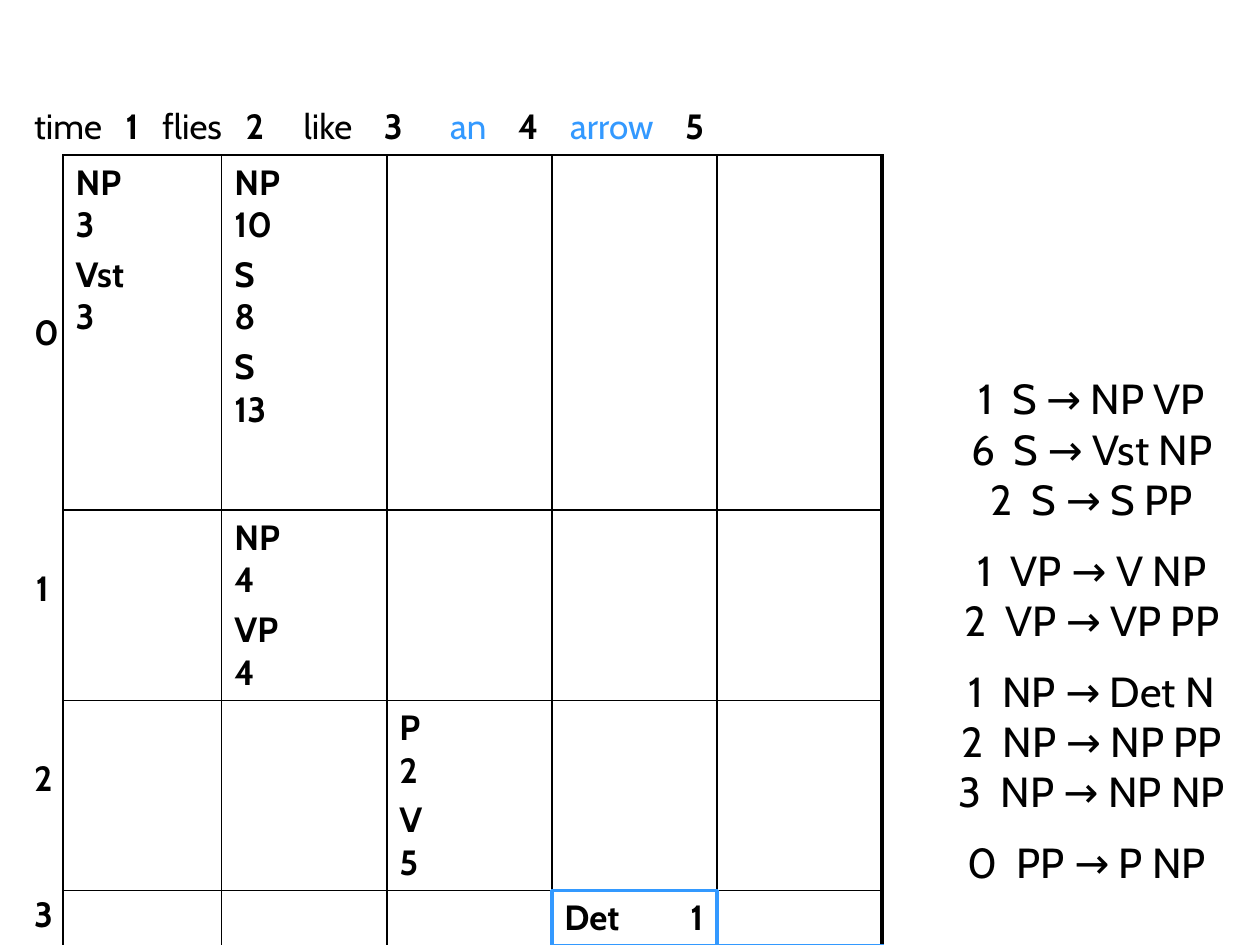
from lxml.etree import SubElement
from pptx import Presentation
from pptx.dml.color import RGBColor
from pptx.enum.text import MSO_ANCHOR, PP_ALIGN
from pptx.oxml.ns import qn
from pptx.util import Inches, Pt

BLACK = RGBColor(0, 0, 0)
BLUE = RGBColor(0x33, 0x99, 0xFF)
NO_GRID_STYLE = "{2D5ABB26-0587-4C30-8999-92F81FD0307C}"

COLS = [0.33, 1.26] + [1.31] * 4
ROWS = [0.43, 2.82, 1.23, 0.83, 0.43, 0.45]
LAST = len(COLS) - 1

HEADER = [("time", False, BLACK), ("   1   ", True, BLACK),
          ("flies", False, BLACK), ("   2     ", True, BLACK),
          ("like", False, BLACK), ("    3      ", True, BLACK),
          ("an", False, BLUE), ("    4    ", True, BLACK),
          ("arrow", False, BLUE), ("    5", True, BLACK)]
ROW_SPACING = [1.0, 2.2, 2.2, 0.9]
WEIGHT_TAB = 1  # wider weights wrap below their label
# (row, column): chart entries
ENTRIES = {(1, 1): ["NP\t3", "Vst\t3"],
           (1, 2): ["NP\t10", "S\t8", "S\t13"],
           (2, 2): ["NP\t4", "VP\t4"],
           (3, 3): ["P\t2", "V\t5"],
           (4, 4): ["Det\t1"]}
HIGHLIGHTED = {(4, 4), (5, 5)}
SIDES = {"L": (0, -1), "R": (0, 1), "T": (-1, 0), "B": (1, 0)}
# Each group of rules starts with a wider line
RULES = [["1  S → NP VP", "6  S → Vst NP", "2  S → S PP"],
         ["1  VP → V NP", "2  VP → VP PP"],
         ["1  NP → Det N", "2  NP → NP PP", "3  NP → NP NP"],
         ["0  PP → P NP "]]


def style(r, size, bold=False, color=BLACK):
    r.font.name = "Cabin"
    r.font.size = Pt(size)
    r.font.bold = bold
    r.font.color.rgb = color


def border(cell, side, color, width):
    ln = SubElement(cell._tc.get_or_add_tcPr(), qn("a:ln" + side), w=str(Pt(width)))
    SubElement(SubElement(ln, qn("a:solidFill")), qn("a:srgbClr"), val=str(color))


prs = Presentation()
prs.slide_width, prs.slide_height = Inches(10), Inches(7.5)
s = prs.slides.add_slide(prs.slide_layouts[6])

# Parse chart grid
table = s.shapes.add_table(len(ROWS), len(COLS), Inches(0.17), Inches(0.79),
                           Inches(sum(COLS)), Inches(sum(ROWS))).table
table.first_row = table.horz_banding = False
table._tbl.tblPr.find(qn("a:tableStyleId")).text = NO_GRID_STYLE
for col, width in zip(table.columns, COLS):
    col.width = Inches(width)
for row, height in zip(table.rows, ROWS):
    row.height = Inches(height)

# Sentence with word positions
table.cell(0, 0).merge(table.cell(0, LAST))
p = table.cell(0, 0).text_frame.paragraphs[0]
p.space_before = Pt(4)
for text, bold, color in HEADER:
    r = p.add_run()
    r.text = text
    style(r, 20, bold, color)

# Start positions down the left side
for i, spacing in enumerate(ROW_SPACING):
    cell = table.cell(i + 1, 0)
    cell.text_frame.text = str(i)
    p = cell.text_frame.paragraphs[0]
    p.alignment = PP_ALIGN.CENTER
    p.line_spacing = spacing
    p.space_before = Pt(4)
    style(p.runs[0], 20, True)
table.cell(1, 0).vertical_anchor = MSO_ANCHOR.MIDDLE

# Constituents and their weights
for (row, col), lines in ENTRIES.items():
    tf = table.cell(row, col).text_frame
    tf.text = "\n".join(lines)
    for p in tf.paragraphs:
        p.space_before = Pt(4)
        tabs = SubElement(p._p.get_or_add_pPr(), qn("a:tabLst"))
        SubElement(tabs, qn("a:tab"), pos=str(Inches(WEIGHT_TAB)), algn="l")
        style(p.runs[0], 20, True)

# Borders: blue round highlighted cells, heavy black on the outer right and bottom
for row in range(1, len(ROWS)):
    for col in range(1, len(COLS)):
        for side, (down, across) in SIDES.items():
            outer = (side == "R" and col == LAST) or (side == "B" and row == len(ROWS) - 1)
            blue = HIGHLIGHTED & {(row, col), (row + down, col + across)}
            border(table.cell(row, col), side, BLUE if blue else BLACK,
                   2.25 if blue or outer else 1)
for row in table.rows:
    for cell in row.cells:
        cell.fill.background()

# Weighted grammar rules
tf = s.shapes.add_textbox(Inches(7.33), Inches(2.91), Inches(2.67), Inches(4.17)).text_frame
tf.word_wrap = True
tf.text = "\n".join(rule for group in RULES for rule in group)
group_starts = {group[0] for group in RULES[1:]}
for p in tf.paragraphs:
    p.alignment = PP_ALIGN.CENTER
    if p.text in group_starts:
        p.line_spacing = 1.4
    style(p.runs[0], 24)

prs.save("out.pptx")
